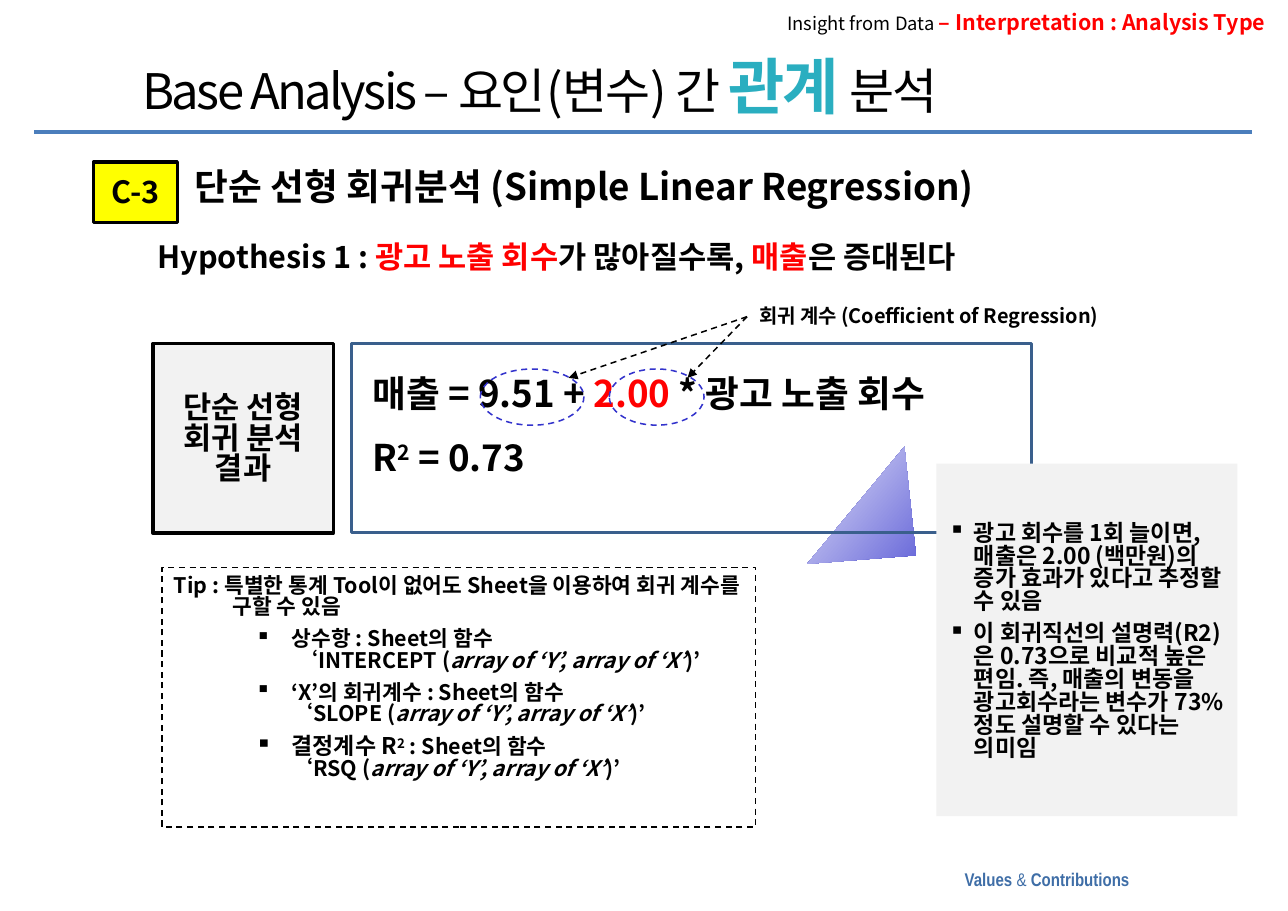
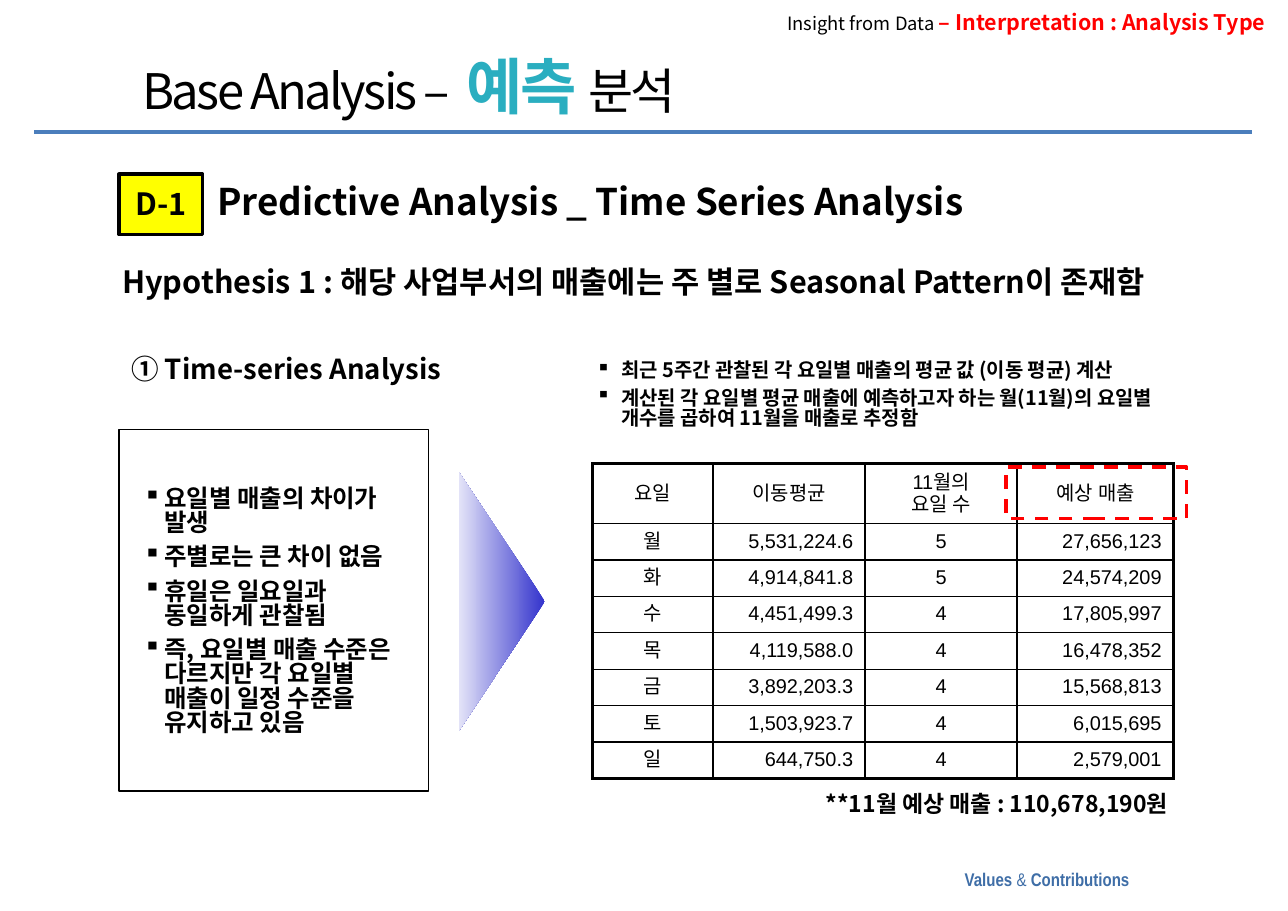
from dataclasses import dataclass
from lxml.etree import SubElement as Sub
from pptx import Presentation
from pptx.dml.color import RGBColor as RGB
from pptx.enum.dml import MSO_LINE
from pptx.enum.shapes import MSO_CONNECTOR as Conn, MSO_SHAPE as Kind
from pptx.enum.text import MSO_ANCHOR as Anchor, PP_ALIGN as Align
from pptx.oxml.ns import qn
from pptx.util import Pt


@dataclass(frozen=True)
class Theme:
    font: str = "Noto Sans CJK KR"
    grid: str = "Arial"
    foot: str = "Arial Narrow"
    ink: str = "000000"
    red: str = "FF0000"
    teal: str = "2AAEC0"
    rule: str = "4B7EBC"
    slate: str = "3F6EA7"
    navy: str = "3A5F8C"
    blue: str = "3333CC"
    pale: str = "E3E3F8"
    gray: str = "F2F2F2"
    gold: str = "FFFF00"
    title: int = 32
    key: int = 40
    head: int = 24
    sub: int = 20
    step: int = 18
    list: int = 16
    note: int = 15
    tip: int = 14
    small: int = 13
    tiny: int = 12
    lead: float = 0.83


T = Theme()


def box(page, at, kind=None, fill=None, line=None, weight=1, dash=False, mid=False):
    """Add a text box, or a preset shape when a kind is given."""
    at = [Pt(v) for v in at]
    if kind is None:
        shape = page.shapes.add_textbox(*at)
    else:
        shape = page.shapes.add_shape(kind, *at)
        shape.shadow.inherit = False
        if fill:
            shape.fill.solid()
            shape.fill.fore_color.rgb = RGB.from_string(fill)
        else:
            shape.fill.background()
        if line:
            shape.line.color.rgb = RGB.from_string(line)
            shape.line.width = Pt(weight)
            if dash:
                shape.line.dash_style = MSO_LINE.DASH
        else:
            shape.line.fill.background()
    frame = shape.text_frame
    frame.word_wrap = True
    frame.margin_left = frame.margin_right = Pt(7.9)
    frame.margin_top, frame.margin_bottom = Pt(6), Pt(3.6)
    frame.vertical_anchor = Anchor.MIDDLE if mid else Anchor.TOP
    return shape


def write(frame, paras, size, color=T.ink, bold=True, align=Align.LEFT, gap=0,
          left=0, hang=0, mark=None, face=T.font, lead=T.lead, track=0):
    """Append paragraphs; each is a string or a list of (text, overrides)."""
    for runs in paras:
        first = not frame.paragraphs[0].runs
        para = frame.paragraphs[0] if first else frame.add_paragraph()
        para.alignment, para.line_spacing = align, lead
        if not first:
            para.space_before = Pt(gap)
        prop = para._p.get_or_add_pPr()
        prop.set("marL", str(Pt(left)))
        prop.set("indent", str(-Pt(hang)))
        if mark:
            Sub(prop, qn("a:buChar")).set("char", mark)
        font = para.font
        font.name, font.size, font.bold = face, Pt(size), bold
        font.color.rgb = RGB.from_string(color)
        Sub(prop.find(qn("a:defRPr")), qn("a:ea")).set("typeface", face)
        for text, look in [(runs, {})] if isinstance(runs, str) else runs:
            for i, part in enumerate(text.split("\n")):
                if i:
                    para.add_line_break()
                run = para.add_run()
                run.text = part
                if "size" in look:
                    run.font.size = Pt(look["size"])
                if "color" in look:
                    run.font.color.rgb = RGB.from_string(look["color"])
                if "bold" in look:
                    run.font.bold = look["bold"]
                if "slant" in look:
                    run.font.italic = True
                if "up" in look:
                    run._r.get_or_add_rPr().set("baseline", "30000")
                if track:
                    run._r.get_or_add_rPr().set("spc", str(track))


deck = Presentation()
deck.slide_width, deck.slide_height = Pt(841.68), Pt(595.44)

RED, SUP, SLANT = {"color": T.red}, {"up": True}, {"slant": True}
KEY = {"size": T.key, "color": T.teal, "bold": True}

# What differs in the shared frame of each slide
plans = [
    dict(lead="Base Analysis – 요인(변수) 간 ", key="관계 ",
         tag="C-3", spot=(61.2, 105.8),
         head="단순 선형 회귀분석 (Simple Linear Regression)", top=(119.5, 105.8),
         claim=[("Hypothesis 1 : ", {}), ("광고 노출 회수", RED),
                ("가 많아질수록, ", {}), ("매출", RED), ("은 증대된다", {})],
         base=(95, 153.4)),
    dict(lead="Base Analysis –  ", key="예측 ",
         tag="D-1", spot=(77.8, 113.8),
         head="Predictive Analysis _ Time Series Analysis", top=(133.9, 115.9),
         claim="Hypothesis 1 : 해당 사업부서의 매출에는 주 별로 Seasonal Pattern이 존재함",
         base=(72, 169.9)),
]

# Shared frame: rule, footer, running head, title, tag, heading, hypothesis
pages = []
for plan in plans:
    page = deck.slides.add_slide(deck.slide_layouts[6])
    pages.append(page)
    rule = page.shapes.add_connector(Conn.STRAIGHT, Pt(22.3), Pt(86.4), Pt(818), Pt(86.4))
    rule.line.color.rgb = RGB.from_string(T.rule)
    rule.line.width = Pt(3)
    Sub(rule._element.spPr, qn("a:effectLst"))

    foot = box(page, (570, 561.5, 176, 21.6))
    write(foot.text_frame, [[("Values ", {}), ("& ", {"bold": False}), ("Contributions", {})]],
          T.tiny, T.slate, align=Align.RIGHT, face=T.foot, lead=1)

    run = box(page, (471, 2.9, 364, 24.5))
    write(run.text_frame, [[("Insight from Data ", {"size": T.tiny, "color": T.ink, "bold": False}),
                            ("– Interpretation : Analysis Type", {})]],
          T.tip, T.red, align=Align.RIGHT)

    title = box(page, (85, 36, 733, 45.4), mid=True)
    write(title.text_frame, [[(plan["lead"], {}), (plan["key"], KEY), ("분석", {})]],
          T.title, bold=False, track=-170)

    tag = box(page, (*plan["spot"], 54.7, 39.6), Kind.RECTANGLE, T.gold, T.ink, 2.25, mid=True)
    write(tag.text_frame, [plan["tag"]], T.sub, align=Align.CENTER)

    head = box(page, (*plan["top"], 558, 36.7))
    write(head.text_frame, [plan["head"]], T.head)

    claim = box(page, (*plan["base"], 742, 32.4))
    write(claim.text_frame, [plan["claim"]], T.sub)

# Gradient triangles, one on each slide
for page, at, turn in [(pages[0], (529.2, 321.1, 99.4, 51.1), 129.7),
                       (pages[1], (243.4, 365, 169.2, 56.2), 90)]:
    wedge = box(page, at, Kind.ISOSCELES_TRIANGLE)
    wedge.rotation = turn
    wedge.fill.gradient()
    wedge.fill.gradient_angle = 270
    for stop, color in zip(wedge.fill.gradient_stops, (T.blue, T.pale)):
        stop.color.rgb = RGB.from_string(color)

# Slide 1: regression result
page = pages[0]
label = box(page, (99.9, 224.6, 118, 123.8), Kind.RECTANGLE, T.gray, T.ink, 2.25, mid=True)
write(label.text_frame, ["단순 선형\n회귀 분석 결과"], T.sub, align=Align.CENTER)

box(page, (229.7, 224.6, 444.2, 123.8), Kind.RECTANGLE, line=T.navy, weight=2)
model = box(page, (235.4, 241.2, 454.3, 84.2))
write(model.text_frame, [
    [("매출 = 9.51 + ", {}), ("2.00", RED), (" * 광고 노출 회수", {})],
    [("R", {}), ("2", SUP), (" = 0.73", {})]], T.head, gap=18)

# Slide 1: coefficients ringed and pointed at
term = box(page, (488.2, 195.1, 292.3, 23.8))
write(term.text_frame, ["회귀 계수 (Coefficient of Regression)"], T.small)
for left, wide, tip in [(313.9, 67.7, 371.5), (398.2, 61.9, 449.3)]:
    box(page, (left, 241.2, wide, 36.7), Kind.OVAL, line=T.blue, dash=True)
    arrow = page.shapes.add_connector(Conn.STRAIGHT, Pt(488.2), Pt(207), Pt(tip), Pt(247))
    arrow.begin_connect(term, 1)
    arrow.line.color.rgb = RGB.from_string(T.ink)
    arrow.line.width = Pt(1)
    arrow.line.dash_style = MSO_LINE.DASH
    Sub(arrow.line._get_or_add_ln(), qn("a:tailEnd")).set("type", "triangle")
    Sub(arrow._element.spPr, qn("a:effectLst"))

# Slide 1: tip on worksheet functions
ARGS = [("array of ‘Y’, array of ‘X’", SLANT), (")’", {})]
tips = box(page, (105.8, 370.8, 388.1, 169.9), Kind.RECTANGLE, line=T.ink, dash=True)
write(tips.text_frame, ["Tip : 특별한 통계 Tool이 없어도 Sheet을 이용하여 회귀 계수를 구할 수 있음"],
      T.tip, left=38.2, hang=38.2)
write(tips.text_frame, [
    [("상수항 : Sheet의 함수\n ‘INTERCEPT (", {}), *ARGS],
    [("‘X’의 회귀계수 : Sheet의 함수\n‘SLOPE (", {}), *ARGS],
    [("결정계수 R", {"size": T.note}), ("2", {"size": T.note, "up": True}),
     (" : Sheet의 함수\n‘RSQ (", {}), *ARGS]],
    T.tip, gap=7, left=77, hang=23.8, mark="▪")

# Slide 1: reading of the result
panel = box(page, (612, 303.1, 196.6, 230.4), Kind.RECTANGLE, T.gray, mid=True)
write(panel.text_frame, [
    "광고 회수를 1회 늘이면, 매출은 2.00 (백만원)의 증가 효과가 있다고 추정할 수 있음",
    "이 회귀직선의 설명력(R2)은 0.73으로 비교적 높은 편임. 즉, 매출의 변동을 "
    "광고회수라는 변수가 73%정도 설명할 수 있다는 의미임"],
    T.note, gap=6, left=16.6, hang=16.6, mark="▪")

# Slide 2: observations
page = pages[1]
step = box(page, (77.8, 224.6, 236.2, 33.8), mid=True)
write(step.text_frame, ["① Time-series Analysis"], T.step)

seen = box(page, (77.8, 280.8, 202.3, 236.2), Kind.RECTANGLE, line=T.ink, mid=True)
write(seen.text_frame, [
    "요일별 매출의 차이가 발생",
    "주별로는 큰 차이 없음",
    "휴일은 일요일과 동일하게 관찰됨",
    "즉, 요일별 매출 수준은 다르지만 각 요일별 매출이 일정 수준을 유지하고 있음"],
    T.list, gap=6.4, left=21.6, hang=13.7, mark="▪")

# Slide 2: method
plan = box(page, (381.6, 230.4, 410.4, 61.2))
write(plan.text_frame, [
    "최근 5주간 관찰된 각 요일별 매출의 평균 값 (이동 평균) 계산",
    "계산된 각 요일별 평균 매출에 예측하고자 하는 월(11월)의 요일별 개수를 곱하여 11월을 매출로 추정함"],
    T.small, gap=5.2, left=16.6, hang=16.6, mark="▪")

# Slide 2: forecast table
rows = [
    ("요일", "이동평균", "11월의\n요일 수", "예상 매출"),
    ("월", "5,531,224.6", "5", "27,656,123"),
    ("화", "4,914,841.8", "5", "24,574,209"),
    ("수", "4,451,499.3", "4", "17,805,997"),
    ("목", "4,119,588.0", "4", "16,478,352"),
    ("금", "3,892,203.3", "4", "15,568,813"),
    ("토", "1,503,923.7", "4", "6,015,695"),
    ("일", "644,750.3", "4", "2,579,001"),
]
wides = (78.5, 99.4, 99.4, 102.2)
tall = [39.2] + [23.8] * 7
table = page.shapes.add_table(len(rows), len(wides), Pt(387.4), Pt(303.1),
                              Pt(sum(wides)), Pt(sum(tall))).table
table.first_row = table.horz_banding = False
for col, wide in zip(table.columns, wides):
    col.width = Pt(wide)
for r, texts in enumerate(rows):
    table.rows[r].height = Pt(tall[r])
    for c, text in enumerate(texts):
        cell = table.cell(r, c)
        cell.margin_left = cell.margin_right = Pt(7.9)
        cell.margin_top, cell.margin_bottom = Pt(4.3 if r else 0.5), Pt(0.5)
        cell.vertical_anchor = Anchor.TOP if r else Anchor.MIDDLE
        side = Align.RIGHT if r and c in (1, 3) else Align.CENTER
        write(cell.text_frame, [text], T.small, bold=False, align=side, face=T.grid, lead=1)
        edges = {"L": c == 0, "R": c == len(wides) - 1, "T": r == 0, "B": r == len(rows) - 1}
        for edge, outer in edges.items():
            ln = Sub(cell._tc.get_or_add_tcPr(), qn("a:ln" + edge))
            ln.set("w", str(Pt(2.25 if outer else 1)))
            Sub(Sub(ln, qn("a:solidFill")), qn("a:srgbClr")).set("val", T.ink)
        cell.fill.background()

# Slide 2: total and highlight
total = box(page, (465.8, 513.4, 305.3, 26.6))
write(total.text_frame, ["**11월 예상 매출 : 110,678,190원"], T.note, align=Align.RIGHT)
box(page, (657.4, 305.3, 118, 33.8), Kind.RECTANGLE, line=T.red, weight=2.25, dash=True)

deck.save("out.pptx")
